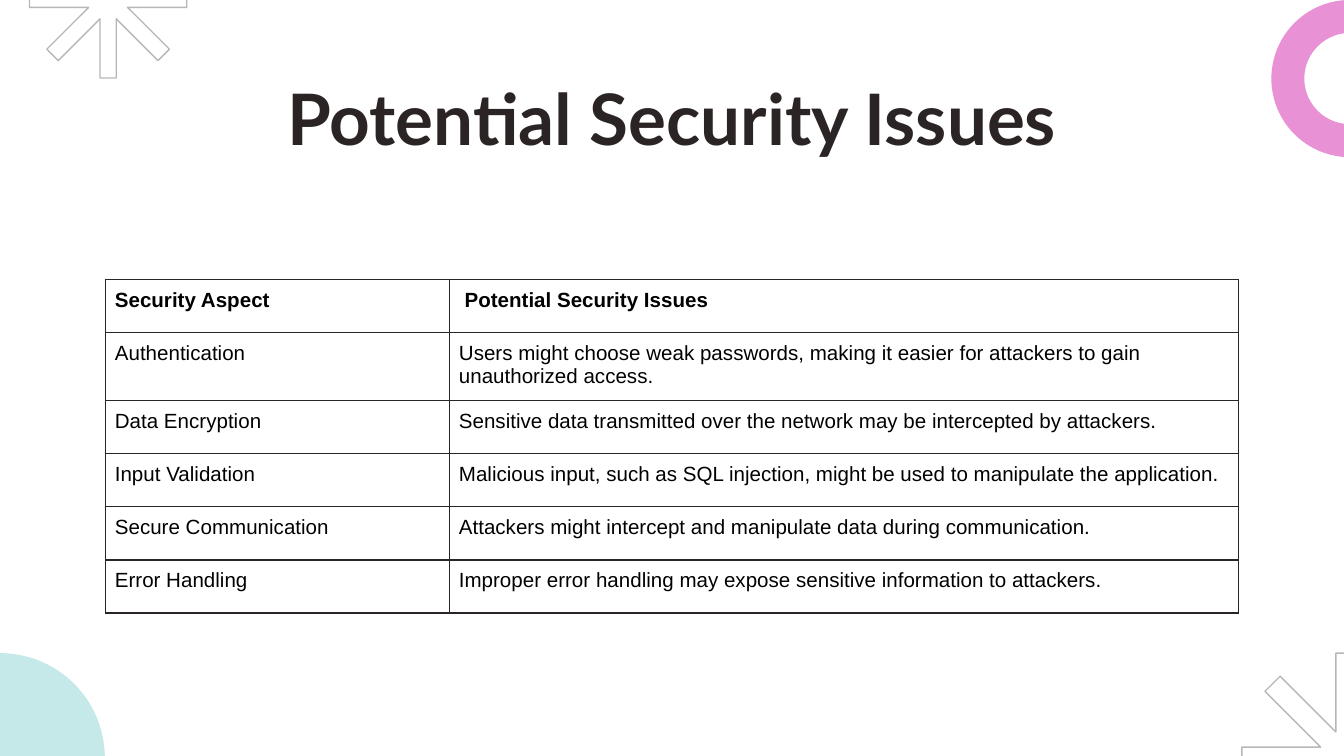
from math import cos, pi, sin, sqrt

from lxml.etree import SubElement
from pptx import Presentation
from pptx.dml.color import RGBColor
from pptx.enum.shapes import MSO_SHAPE as Shape
from pptx.enum.text import MSO_ANCHOR as Anchor, PP_ALIGN as Align
from pptx.oxml.ns import qn
from pptx.util import Inches, Pt

SLIDE_WIDTH = 10
SLIDE_HEIGHT = SLIDE_WIDTH * 9 / 16
INK = "2B2424"
GRAY = "B7B7B7"
PINK = "E891D4"
AQUA = "C5E9E9"
ROWS = [
    ("Security Aspect", " Potential Security Issues"),
    ("Authentication", "Users might choose weak passwords, making it easier "
                       "for attackers to gain unauthorized access."),
    ("Data Encryption", "Sensitive data transmitted over the network may be "
                        "intercepted by attackers."),
    ("Input Validation", "Malicious input, such as SQL injection, might be used "
                         "to manipulate the application."),
    ("Secure Communication", "Attackers might intercept and manipulate data "
                             "during communication."),
    ("Error Handling", "Improper error handling may expose sensitive "
                       "information to attackers."),
]


def color(value):
    return RGBColor.from_string(value)


def write_text(frame, text, font="Arial", size=11, ink="000000", bold=False,
               align=Align.LEFT, spacing=None):
    paragraph = frame.paragraphs[0]
    paragraph.alignment = align
    paragraph.line_spacing = spacing
    run = paragraph.add_run()
    run.text = text
    run.font.name = font
    run.font.size = Pt(size)
    run.font.bold = bold
    run.font.color.rgb = color(ink)


def add_burst(slide, left, top, size, arm_width):
    radius, half_width = size / 2, arm_width / 2
    notch = half_width * (1 + sqrt(2))
    corners = [(radius, -half_width), (radius, half_width), (notch, half_width)]
    points = []
    for arm in range(8):
        angle = arm * pi / 4
        for along, across in corners:
            x = left + radius + along * cos(angle) - across * sin(angle)
            y = top + radius + along * sin(angle) + across * cos(angle)
            points.append((Inches(x), Inches(y)))
    builder = slide.shapes.build_freeform(*points[0], scale=1.0)
    builder.add_line_segments(points[1:], close=True)
    shape = builder.convert_to_shape()
    shape.shadow.inherit = False
    shape.fill.background()
    shape.line.color.rgb = color(GRAY)
    shape.line.width = Pt(0.75)


def add_round(slide, kind, left, top, size, fill):
    shape = slide.shapes.add_shape(
        kind, Inches(left), Inches(top), Inches(size), Inches(size))
    shape.shadow.inherit = False
    shape.fill.solid()
    shape.fill.fore_color.rgb = color(fill)
    shape.line.fill.background()
    return shape


def add_ring(slide, left, top, size, start, end, thickness):
    ring = add_round(slide, Shape.BLOCK_ARC, left, top, size, PINK)
    degree = 60000 / 100000
    ring.adjustments[0] = start * degree
    ring.adjustments[1] = end * degree
    ring.adjustments[2] = thickness


def add_title(slide, text):
    box = slide.shapes.add_textbox(
        Inches(0.78), Inches(0.59), Inches(8.44), Inches(0.68))
    frame = box.text_frame
    frame.word_wrap = True
    frame.vertical_anchor = Anchor.MIDDLE
    frame.margin_left = frame.margin_right = Inches(0.1)
    frame.margin_top = frame.margin_bottom = Inches(0.1)
    write_text(frame, text, font="Lato", size=38, ink=INK, bold=True,
               align=Align.CENTER, spacing=0.8)


def set_borders(cell, ink, width):
    properties = cell._tc.get_or_add_tcPr()
    for index, side in enumerate(("lnL", "lnR", "lnT", "lnB")):
        line = properties.makeelement(qn(f"a:{side}"), {"w": str(Pt(width))})
        properties.insert(index, line)
        fill = SubElement(line, qn("a:solidFill"))
        SubElement(fill, qn("a:srgbClr"), val=ink)


def add_issue_table(slide, rows, widths, height):
    left = (SLIDE_WIDTH - sum(widths)) / 2
    table = slide.shapes.add_table(
        len(rows), len(widths), Inches(left), Inches(2.08),
        Inches(sum(widths)), Inches(height)).table
    table.horz_banding = False
    for column, width in zip(table.columns, widths):
        column.width = Inches(width)
    for row_index, texts in enumerate(rows):
        for column_index, text in enumerate(texts):
            cell = table.cell(row_index, column_index)
            cell.margin_left = cell.margin_right = Inches(0.07)
            cell.margin_top = cell.margin_bottom = Inches(0.07)
            cell.fill.background()
            set_borders(cell, INK, 0.75)
            write_text(cell.text_frame, text, bold=row_index == 0)


def main():
    presentation = Presentation()
    presentation.slide_width = Inches(SLIDE_WIDTH)
    presentation.slide_height = Inches(SLIDE_HEIGHT)
    slide = presentation.slides.add_slide(presentation.slide_layouts[6])
    add_burst(slide, 0.22, -0.59, size=1.17, arm_width=0.12)
    add_burst(slide, 9.24, 4.86, size=1.56, arm_width=0.16)
    add_round(slide, Shape.OVAL, -0.78, 4.86, 1.56, AQUA)
    add_ring(slide, 9.46, 0, 1.17, start=90, end=342, thickness=0.21)
    add_title(slide, "Potential Security Issues")
    add_issue_table(slide, ROWS, widths=(2.56, 5.87), height=2.37)
    presentation.save("out.pptx")


if __name__ == "__main__":
    main()
